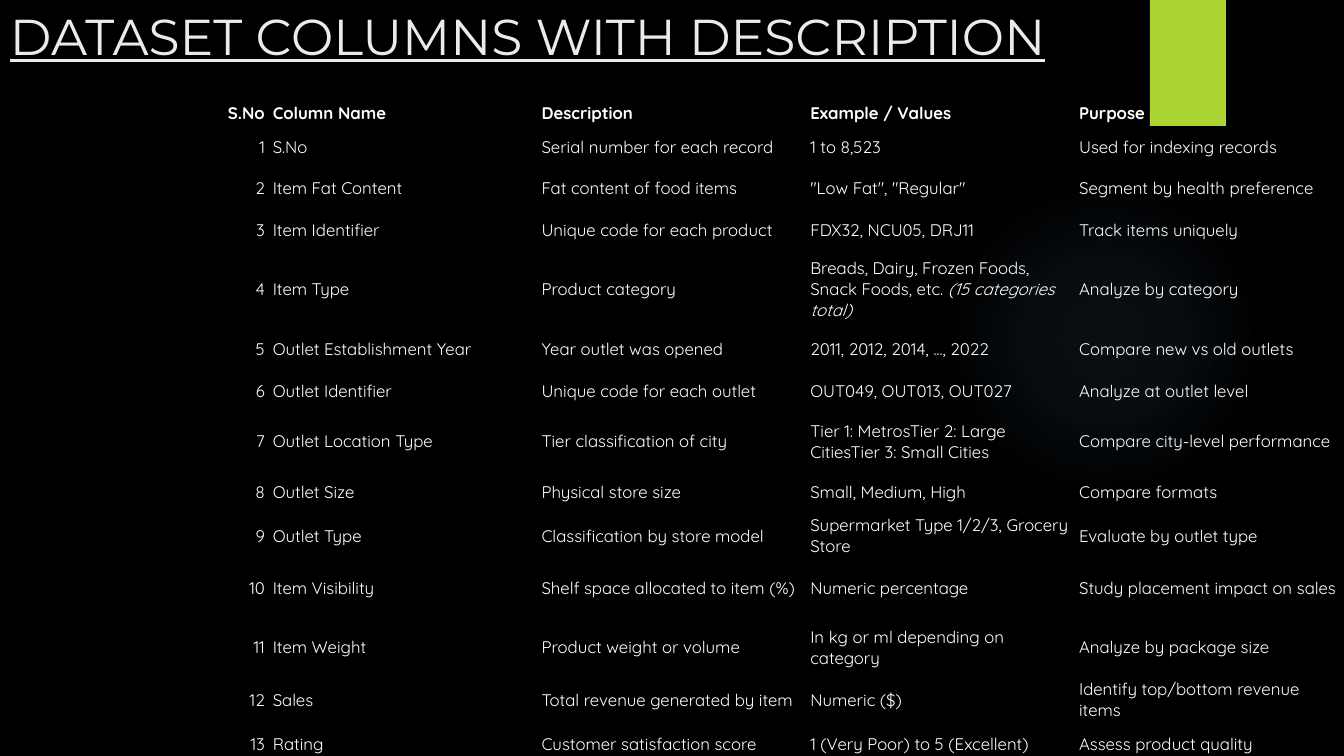
from dataclasses import dataclass

from lxml import etree
from pptx import Presentation, util as u
from pptx.dml.color import RGBColor
from pptx.enum import shapes, text
from pptx.oxml import ns

PX = 914400 / 100.8  # EMU per px
SLIDE_W, SLIDE_H = 1344, 756


@dataclass(frozen=True)
class Theme:
    background: str = "000000"
    accent: str = "ACD433"
    glow: str = "7AC4F0"
    heading: str = "EBEBEB"
    body: str = "FFFFFF"
    heading_font: str = "Montserrat"
    body_font: str = "Quicksand"
    heading_size: int = 36
    body_size: int = 12


THEME = Theme()
GLOW_STOPS = [(0, 7), (36, 6), (69, 0)]  # position %, opacity %
NO_GRID_STYLE = "{2D5ABB26-0587-4C30-8999-92F81FD0307C}"

HEADINGS = ["S.No", "Column Name", "Description", "Example / Values", "Purpose"]
HEADING_HEIGHT = 25
# Row height, column name, description, example, purpose; "|" starts an italic run
DATASET_COLUMNS = [
    (42, "S.No", "Serial number for each record", "1 to 8,523", "Used for indexing records"),
    (41, "Item Fat Content", "Fat content of food items", '"Low Fat", "Regular"',
     "Segment by health preference"),
    (42, "Item Identifier", "Unique code for each product", "FDX32, NCU05, DRJ11",
     "Track items uniquely"),
    (77, "Item Type", "Product category",
     "Breads, Dairy, Frozen Foods, Snack Foods, etc. |(15 categories total)",
     "Analyze by category"),
    (42, "Outlet Establishment Year", "Year outlet was opened", "2011, 2012, 2014, ..., 2022",
     "Compare new vs old outlets"),
    (42, "Outlet Identifier", "Unique code for each outlet", "OUT049, OUT013, OUT027",
     "Analyze at outlet level"),
    (59, "Outlet Location Type", "Tier classification of city",
     "Tier 1: MetrosTier 2: Large CitiesTier 3: Small Cities", "Compare city-level performance"),
    (42, "Outlet Size", "Physical store size", "Small, Medium, High", "Compare formats"),
    (46, "Outlet Type", "Classification by store model",
     "Supermarket Type 1/2/3, Grocery Store", "Evaluate by outlet type"),
    (59, "Item Visibility", "Shelf space allocated to item (%)", "Numeric percentage",
     "Study placement impact on sales"),
    (59, "Item Weight", "Product weight or volume", "In kg or ml depending on category",
     "Analyze by package size"),
    (46, "Sales", "Total revenue generated by item", "Numeric ($)",
     "Identify top/bottom revenue items"),
    (42, "Rating", "Customer satisfaction score", "1 (Very Poor) to 5 (Excellent)",
     "Assess product quality"),
]


def px(*lengths):
    return [u.Emu(round(length * PX)) for length in lengths]


def add_run(paragraph, words, font, size, color):
    run = paragraph.add_run()
    run.text = words
    run.font.name = font
    run.font.size = u.Pt(size)
    run.font.color.rgb = RGBColor.from_string(color)
    return run


def add_plain_shape(slide, kind, box):
    shape = slide.shapes.add_shape(kind, *px(*box))
    shape.shadow.inherit = False
    shape.line.fill.background()
    return shape


def add_glow(slide, box):
    glow = add_plain_shape(slide, shapes.MSO_SHAPE.OVAL, box)
    stops = "".join(
        f'<a:gs pos="{position * 1000}"><a:srgbClr val="{THEME.glow}">'
        f'<a:alpha val="{opacity * 1000}"/></a:srgbClr></a:gs>'
        for position, opacity in GLOW_STOPS)
    gradient = etree.fromstring(
        f'<a:gradFill {ns.nsdecls("a")}><a:gsLst>{stops}</a:gsLst><a:path path="circle">'
        '<a:fillToRect l="50000" t="50000" r="50000" b="50000"/></a:path></a:gradFill>')
    glow.element.spPr.find(ns.qn("a:prstGeom")).addnext(gradient)


def add_accent_tab(slide, box):
    tab = add_plain_shape(slide, shapes.MSO_SHAPE.RECTANGLE, box)
    tab.fill.solid()
    tab.fill.fore_color.rgb = RGBColor.from_string(THEME.accent)


def add_title(slide, box):
    frame = slide.shapes.add_textbox(*px(*box)).text_frame
    frame.word_wrap = True
    frame.vertical_anchor = text.MSO_ANCHOR.TOP
    run = add_run(frame.paragraphs[0], "DATASET COLUMNS WITH DESCRIPTION",
                  THEME.heading_font, THEME.heading_size, THEME.heading)
    run.font.underline = True


def fill_cell(cell, words, bold, align):
    cell.fill.background()
    cell.vertical_anchor = text.MSO_ANCHOR.MIDDLE
    cell.margin_left, cell.margin_right, cell.margin_top, cell.margin_bottom = px(4, 4, 2, 2)
    paragraph = cell.text_frame.paragraphs[0]
    paragraph.alignment = align
    for index, part in enumerate(words.split("|")):
        run = add_run(paragraph, part, THEME.body_font, THEME.body_size, THEME.body)
        run.font.bold = bold
        run.font.italic = index > 0


def add_dataset_table(slide, left, top, width):
    heights = [HEADING_HEIGHT] + [row[0] for row in DATASET_COLUMNS]
    rows = [HEADINGS] + [[str(number), *row[1:]]
                         for number, row in enumerate(DATASET_COLUMNS, 1)]
    frame = slide.shapes.add_table(len(rows), len(HEADINGS),
                                   *px(left, top, width, sum(heights)))
    table = frame.table
    table.horz_banding = False
    for style in frame.element.iter(ns.qn("a:tableStyleId")):
        style.text = NO_GRID_STYLE
    for column in table.columns:
        column.width = px(width / len(HEADINGS))[0]
    for r, (height, row) in enumerate(zip(heights, rows)):
        table.rows[r].height = px(height)[0]
        for c, words in enumerate(row):
            align = text.PP_ALIGN.RIGHT if c == 0 else text.PP_ALIGN.LEFT
            fill_cell(table.cell(r, c), words, r == 0, align)


def main():
    deck = Presentation()
    deck.slide_width, deck.slide_height = px(SLIDE_W, SLIDE_H)
    slide = deck.slides.add_slide(deck.slide_layouts[6])
    slide.background.fill.solid()
    slide.background.fill.fore_color.rgb = RGBColor.from_string(THEME.background)

    # Backdrop
    add_glow(slide, (949, 184, 310, 310))
    add_accent_tab(slide, (1150, 0, 76, 126))
    # Content
    add_title(slide, (0, 0, SLIDE_W, 101))
    add_dataset_table(slide, 0, 101, SLIDE_W)

    deck.save("out.pptx")


if __name__ == "__main__":
    main()
